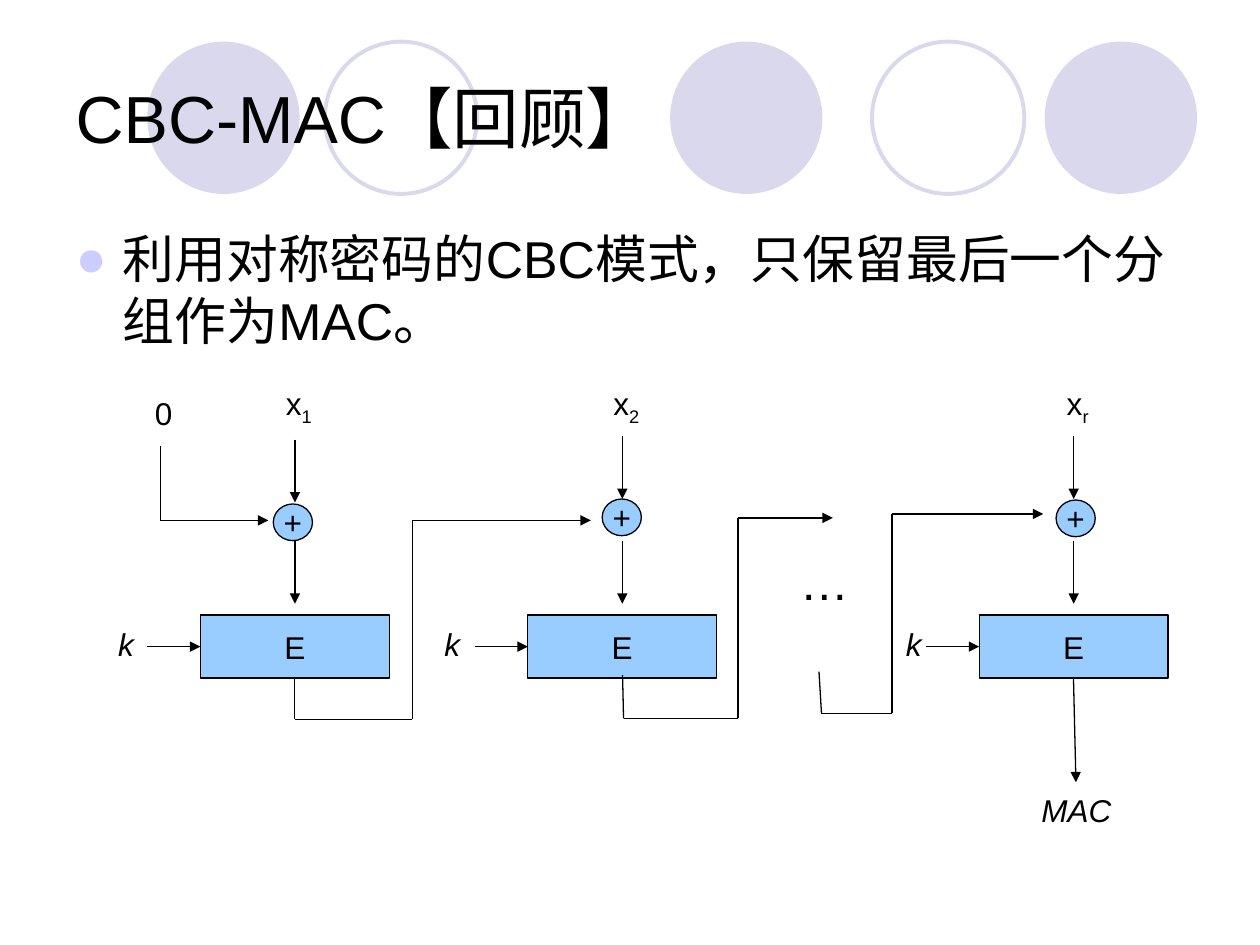
from dataclasses import dataclass
from itertools import pairwise

from lxml.etree import SubElement
from pptx import Presentation
from pptx.dml.color import RGBColor
from pptx.enum.shapes import MSO_CONNECTOR, MSO_SHAPE
from pptx.enum.text import MSO_ANCHOR, MSO_AUTO_SIZE, PP_ALIGN
from pptx.oxml.ns import qn
from pptx.util import Cm, Pt

BLACK, BLOCK_BLUE, LAVENDER, BULLET = "000000", "99CCFF", "D9D8EC", "CCCCFF"
BLOCK_TOP, BLOCK_WIDTH, BLOCK_HEIGHT = 12.4, 3.81, 1.27
ARROW_LENGTH = 1.27

Point = tuple[float, float]


@dataclass
class Circle:
    left: float
    filled: bool


@dataclass
class Stage:
    index: str
    left: float
    adder_left: float
    adder_top: float
    input_top: float
    key_centre: float

    @property
    def centre(self) -> float:
        return self.left + BLOCK_WIDTH / 2


@dataclass
class Wire:
    points: list[Point]


CIRCLES = [
    Circle(2.97, True),
    Circle(6.55, False),
    Circle(13.51, True),
    Circle(17.58, False),
    Circle(21.06, True),
]
STAGES = [
    Stage("1", 4.04, 5.51, 10.16, 8.86, 2.54),
    Stage("2", 10.64, 12.14, 10.06, 8.79, 9.12),
    Stage("r", 19.74, 21.29, 10.08, 8.79, 18.42),
]
WIRES = [
    Wire([(3.23, 8.99), (3.23, 10.49), (5.41, 10.49)]),
    Wire([(5.94, 13.67), (5.94, 14.5), (8.31, 14.5), (8.31, 10.49), (11.91, 10.49)]),
    Wire([(12.55, 13.61), (12.57, 14.48), (14.88, 14.48), (14.88, 10.44), (16.79, 10.44)]),
    Wire([(16.51, 13.54), (16.56, 14.38), (17.98, 14.38), (17.98, 10.36), (21.03, 10.36)]),
    Wire([(21.64, 13.67), (21.69, 15.77)]),
]


def colour(value: str) -> RGBColor:
    return RGBColor.from_string(value)


def style(para, size: float, italic: bool = False) -> None:
    font = para.font
    font.name, font.size, font.italic = "Arial", Pt(size), italic
    font.color.rgb = colour(BLACK)


def place(shape, left: float, top: float, width: float, height: float) -> None:
    shape.left, shape.top = Cm(left), Cm(top)
    shape.width, shape.height = Cm(width), Cm(height)


def add_circle(page, circle: Circle) -> None:
    """Draws a background circle behind the placeholders."""
    shape = page.shapes.add_shape(
        MSO_SHAPE.OVAL, Cm(circle.left), Cm(0.84), Cm(3.07), Cm(3.07))
    shape.shadow.inherit = False
    if circle.filled:
        shape.fill.solid()
        shape.fill.fore_color.rgb = colour(LAVENDER)
        shape.line.fill.background()
    else:
        shape.fill.background()
        shape.line.color.rgb = colour(LAVENDER)
        shape.line.width = Pt(2.25)
    page.shapes._spTree.insert(2, shape._element)


def add_node(page, kind, text: str, left: float, top: float,
             width: float, height: float) -> None:
    shape = page.shapes.add_shape(kind, Cm(left), Cm(top), Cm(width), Cm(height))
    shape.shadow.inherit = False
    shape.fill.solid()
    shape.fill.fore_color.rgb = colour(BLOCK_BLUE)
    shape.line.color.rgb = colour(BLACK)
    shape.line.width = Pt(0.75)
    frame = shape.text_frame
    frame.word_wrap = False
    frame.vertical_anchor = MSO_ANCHOR.MIDDLE
    para = frame.paragraphs[0]
    para.text, para.alignment = text, PP_ALIGN.CENTER
    style(para, 18)


def add_label(page, text: str, centre: float, top: float, width: float, height: float = 1.02,
              size: float = 18, italic: bool = False, subscript: str = "") -> None:
    box = page.shapes.add_textbox(
        Cm(centre - width / 2), Cm(top), Cm(width), Cm(height))
    box.text_frame.word_wrap = False
    box.text_frame.auto_size = MSO_AUTO_SIZE.SHAPE_TO_FIT_TEXT
    para = box.text_frame.paragraphs[0]
    para.text, para.alignment = text, PP_ALIGN.CENTER
    style(para, size, italic)
    if subscript:
        span = para.add_run()
        span.text = subscript
        span.font._element.set("baseline", "-25000")


def add_line(page, start: Point, end: Point, arrow: bool) -> None:
    line = page.shapes.add_connector(
        MSO_CONNECTOR.STRAIGHT, *(Cm(value) for value in (*start, *end)))
    line.line.color.rgb = colour(BLACK)
    line.line.width = Pt(0.75)
    if arrow:
        SubElement(line.line._get_or_add_ln(), qn("a:tailEnd"), type="triangle")
    SubElement(line._element.spPr, qn("a:effectLst"))


def add_wire(page, wire: Wire) -> None:
    """Joins the points with lines and ends in an arrowhead."""
    for start, end in pairwise(wire.points):
        add_line(page, start, end, arrow=end == wire.points[-1])


def add_stage(page, stage: Stage) -> None:
    middle = BLOCK_TOP + BLOCK_HEIGHT / 2
    add_node(page, MSO_SHAPE.RECTANGLE, "E", stage.left, BLOCK_TOP, BLOCK_WIDTH, BLOCK_HEIGHT)
    add_node(page, MSO_SHAPE.OVAL, "+", stage.adder_left, stage.adder_top, 0.79, 0.74)
    for top in (stage.input_top, 10.9):
        add_line(page, (stage.centre, top), (stage.centre, top + ARROW_LENGTH), True)
    add_line(page, (stage.left - 1.07, middle), (stage.left, middle), True)
    add_label(page, "x", stage.centre + 0.08, 7.62, 1.1, 1.12, subscript=stage.index)
    add_label(page, "k", stage.key_centre, 12.48, 0.84, italic=True)


def fill_title(title) -> None:
    place(title, 1.27, 0.76, 22.86, 3.18)
    frame = title.text_frame
    frame.auto_size = MSO_AUTO_SIZE.NONE
    frame.vertical_anchor = MSO_ANCHOR.MIDDLE
    para = frame.paragraphs[0]
    para.text, para.alignment = "CBC-MAC【回顾】", PP_ALIGN.LEFT
    style(para, 38)


def fill_body(body) -> None:
    place(body, 1.27, 4.45, 22.86, 2.97)
    body.text_frame.auto_size = MSO_AUTO_SIZE.NONE
    para = body.text_frame.paragraphs[0]
    para.text = "利用对称密码的CBC模式，只保留最后一个分组作为MAC。"
    para.space_before = Pt(0)
    properties = para._p.get_or_add_pPr()
    properties.set("marL", str(Cm(0.95)))
    properties.set("indent", str(Cm(-0.95)))
    SubElement(SubElement(properties, qn("a:buClr")), qn("a:srgbClr"), val=BULLET)
    SubElement(properties, qn("a:buChar"), char="●")
    style(para, 29.6)


def main() -> None:
    deck = Presentation()
    deck.slide_width, deck.slide_height = Cm(25.4), Cm(19.05)
    page = deck.slides.add_slide(deck.slide_layouts[1])
    fill_title(page.shapes.title)
    fill_body(page.placeholders[1])
    for circle in CIRCLES:
        add_circle(page, circle)
    for stage in STAGES:
        add_stage(page, stage)
    for wire in WIRES:
        add_wire(page, wire)
    add_label(page, "0", 3.3, 7.82, 0.88)
    add_label(page, "…", 16.62, 11, 1.52, 1.45, size=28)
    add_label(page, "MAC", 21.7, 15.82, 2.1, italic=True)
    deck.save("out.pptx")


if __name__ == "__main__":
    main()
